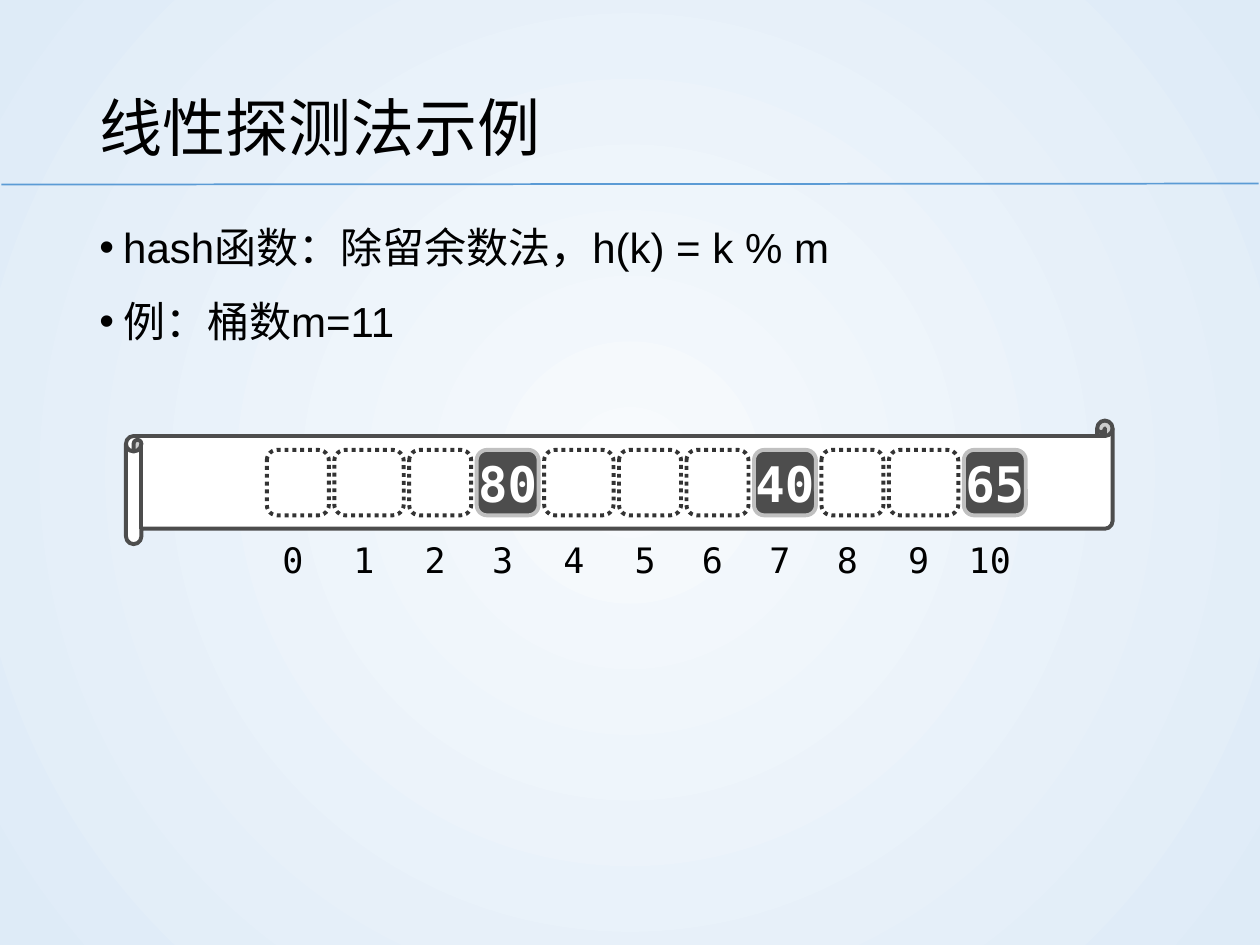
from lxml.etree import SubElement
from pptx import Presentation
from pptx.dml.color import RGBColor
from pptx.enum.dml import MSO_LINE
from pptx.enum.shapes import MSO_CONNECTOR, MSO_SHAPE
from pptx.enum.text import MSO_ANCHOR, MSO_AUTO_SIZE, PP_ALIGN
from pptx.oxml import parse_xml
from pptx.oxml.ns import nsdecls, qn
from pptx.util import Cm, Pt

BLACK = RGBColor(0x00, 0x00, 0x00)
WHITE = RGBColor(0xFF, 0xFF, 0xFF)
DARK = RGBColor(0x4D, 0x4D, 0x4D)
DOT = RGBColor(0x33, 0x33, 0x33)
SILVER = RGBColor(0xC0, 0xC0, 0xC0)
BLUE = RGBColor(0x5B, 0x9B, 0xD5)
PALE = RGBColor(0xF7, 0xFA, 0xFD)
SKY = RGBColor(0xDE, 0xEB, 0xF7)

SANS = "Arial"
MONO = "DejaVu Sans Mono"
BUCKETS = 11
KEYS = (80, 40, 65)
BROAD = (1, 4, 9)


def set_font(para, name, size, color, bold=False):
    """Format every run of a paragraph."""
    for run in para.runs:
        font = run.font
        font.name, font.size, font.bold = name, Pt(size), bold
        font.color.rgb = color


def set_box(shape, box):
    """Move a shape to a box given as left, top, width, height in cm."""
    shape.left, shape.top, shape.width, shape.height = map(Cm, box)


def paint_back(slide):
    """Fill the background with a gradient that spreads from the centre."""
    fill = slide.background.fill
    fill.gradient()
    for stop, color in zip(fill.gradient_stops, (PALE, SKY)):
        stop.color.rgb = color
    grad = slide.element.find(".//" + qn("a:gradFill"))
    lin = grad.find(qn("a:lin"))
    grad.replace(lin, parse_xml(
        f'<a:path {nsdecls("a")} path="circle">'
        '<a:fillToRect l="50000" t="50000" r="50000" b="50000"/></a:path>'))


def add_head(slide, box):
    """Place the title and the rule that runs under it."""
    title = slide.shapes.title
    set_box(title, box)
    frame = title.text_frame
    frame.text = "线性探测法示例"
    frame.auto_size = MSO_AUTO_SIZE.NONE
    frame.vertical_anchor = MSO_ANCHOR.MIDDLE
    para = frame.paragraphs[0]
    para.alignment = PP_ALIGN.LEFT
    para.line_spacing = 1.2
    set_font(para, SANS, 36, BLACK)
    left, top, width, high = box
    base = top + high - 0.06
    rule = slide.shapes.add_connector(
        MSO_CONNECTOR.STRAIGHT, Cm(0.03), Cm(base + 0.02), Cm(25.37), Cm(base))
    rule.line.color.rgb = BLUE
    rule.line.width = Pt(1)
    SubElement(rule.element.spPr, qn("a:effectLst"))


def add_list(slide, box):
    """Place the bulleted list."""
    body = slide.placeholders[1]
    set_box(body, box)
    frame = body.text_frame
    frame.text = "hash函数：除留余数法，h(k) = k % m\n例：桶数m=11"
    frame.auto_size = MSO_AUTO_SIZE.NONE
    for rank, para in enumerate(frame.paragraphs):
        props = para._p.get_or_add_pPr()
        props.set("marL", str(Cm(0.48)))
        props.set("indent", str(-Cm(0.48)))
        SubElement(props, qn("a:buFont"), typeface=SANS)
        SubElement(props, qn("a:buChar"), char="•")
        para.line_spacing = 1.2
        para.space_before = Pt(7.5 if rank else 0)
        set_font(para, SANS, 24, BLACK)


def add_block(group, kind, box, fill=None, line=None):
    """Add one flat shape with an optional fill and outline."""
    shape = group.shapes.add_shape(kind, *map(Cm, box))
    shape.shadow.inherit = False
    if fill is None:
        shape.fill.background()
    else:
        shape.fill.solid()
        shape.fill.fore_color.rgb = fill
    if line is None:
        shape.line.fill.background()
    else:
        shape.line.color.rgb = line
        shape.line.width = Pt(2.25)
    return shape


def set_label(shape, text, size, color, bold=False):
    """Write a centred label without margins."""
    frame = shape.text_frame
    frame.text = text
    frame.word_wrap = False
    frame.vertical_anchor = MSO_ANCHOR.MIDDLE
    frame.margin_left = frame.margin_right = 0
    frame.margin_top = frame.margin_bottom = 0
    para = frame.paragraphs[0]
    para.alignment = PP_ALIGN.CENTER
    set_font(para, MONO, size, color, bold)


def lay_slots(left, top, high):
    """Return the box of each bucket in a row."""
    slots = []
    for rank in range(BUCKETS):
        width = 1.4 if rank in BROAD else 1.25
        slots.append((left, top, width, high))
        left += width + 0.11
    return slots


def add_table(slide, box):
    """Draw the hash table on a scroll, with bucket numbers below."""
    left, top, width, high = box
    held = {key % BUCKETS: key for key in KEYS}
    row = slide.shapes.add_group_shape()
    add_block(row, MSO_SHAPE.HORIZONTAL_SCROLL, box, WHITE, DARK)
    for rank, slot in enumerate(lay_slots(left + 2.84, top + 0.59, 1.32)):
        full = rank in held
        fill, line = (DARK, SILVER) if full else (WHITE, DOT)
        cell = add_block(row, MSO_SHAPE.ROUNDED_RECTANGLE, slot, fill, line)
        if full:
            set_label(cell, str(held[rank]), 28, WHITE, True)
        else:
            cell.line.dash_style = MSO_LINE.ROUND_DOT
    feet = slide.shapes.add_group_shape()
    for rank, slot in enumerate(lay_slots(left + 2.74, top + 2.21, 1.17)):
        foot = add_block(feet, MSO_SHAPE.ROUNDED_RECTANGLE, slot)
        set_label(foot, str(rank), 20, BLACK)


def main():
    """Build the slide and save it."""
    deck = Presentation()
    deck.slide_width, deck.slide_height = Cm(25.4), Cm(19.05)
    slide = deck.slides.add_slide(deck.slide_layouts[1])
    paint_back(slide)
    add_head(slide, (1.75, 1.02, 21.9, 2.74))
    add_list(slide, (1.75, 4.14, 21.9, 5))
    add_table(slide, (2.54, 8.48, 19.89, 2.49))
    deck.save("out.pptx")


if __name__ == "__main__":
    main()
